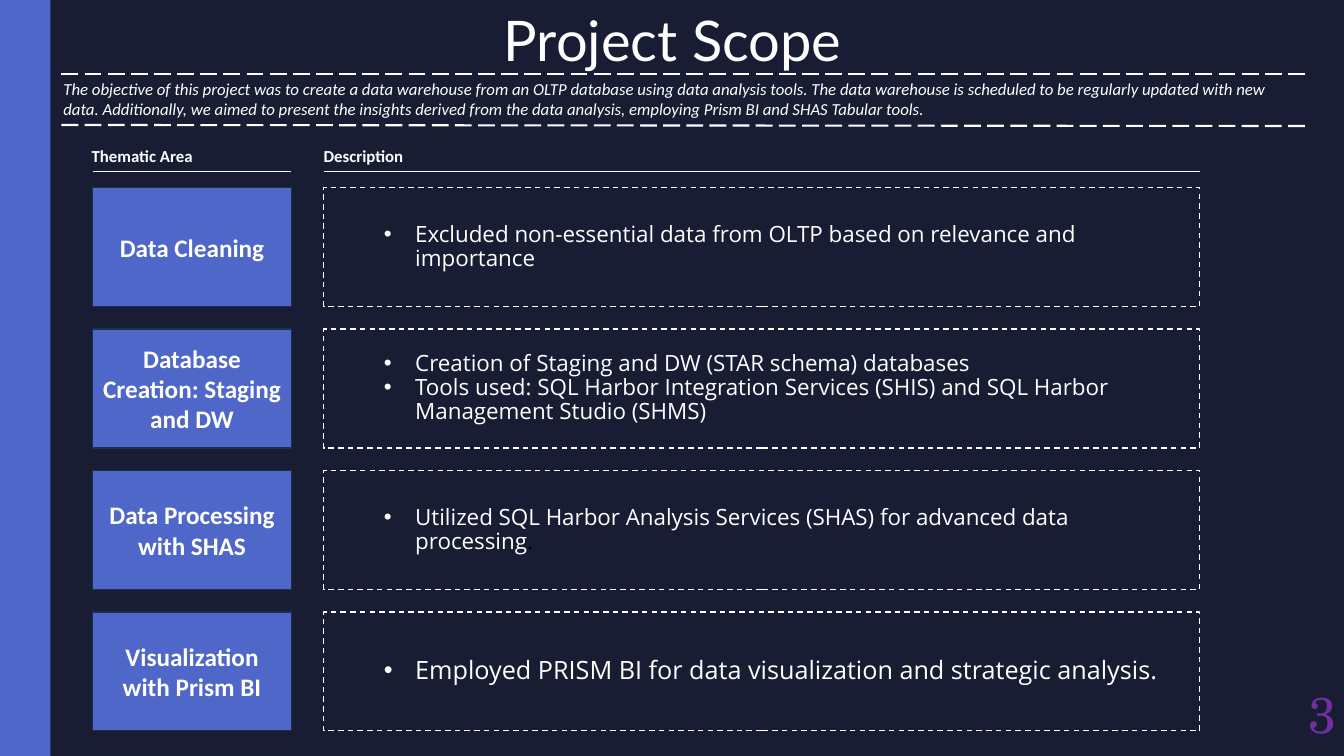
from lxml.etree import SubElement
from pptx import Presentation
from pptx.dml.color import RGBColor
from pptx.enum.dml import MSO_LINE
from pptx.enum.shapes import MSO_CONNECTOR, MSO_SHAPE
from pptx.enum.text import MSO_ANCHOR, PP_ALIGN
from pptx.oxml.ns import qn
from pptx.util import Inches, Pt

HUES = {"back": "191D34", "blue": "4E67C8", "edge": "1C3052",
        "white": "FFFFFF", "black": "000000", "page": "7030A0"}
COLORS = {name: RGBColor.from_string(code) for name, code in HUES.items()}

deck = Presentation()
deck.slide_width, deck.slide_height = Inches(13.33), Inches(7.5)
slide = deck.slides.add_slide(deck.slide_layouts[6])
slide.background.fill.solid()
slide.background.fill.fore_color.rgb = COLORS["back"]


def add_box(left, top, width, height, fill=None, line=None):
    box = slide.shapes.add_shape(MSO_SHAPE.RECTANGLE, Inches(left), Inches(top),
                                 Inches(width), Inches(height))
    box.shadow.inherit = False
    if fill:
        box.fill.solid()
        box.fill.fore_color.rgb = COLORS[fill]
    else:
        box.fill.background()
    if line:
        box.line.color.rgb = COLORS[line]
        box.line.width = Pt(1)
    else:
        box.line.fill.background()
    return box


def set_text(shape, lines, size, font, align=PP_ALIGN.LEFT, color="white",
             bold=False, italic=False):
    frame = shape.text_frame
    frame.word_wrap = True
    frame.text = "\n".join(lines)
    for para in frame.paragraphs:
        para.alignment = align
        for run in para.runs:
            run.font.size, run.font.name = Pt(size), font
            run.font.bold, run.font.italic = bold, italic
            run.font.color.rgb = COLORS[color]
    return frame


# Side band
add_box(0, 0, 0.5, 7.5, "blue")

# Title, objective, column heads and page number
GOAL = ("The objective of this project was to create a data warehouse from an OLTP "
        "database using data analysis tools. The data warehouse is scheduled to be "
        "regularly updated with new data. Additionally, we aimed to present the insights "
        "derived from the data analysis, employing Prism BI and SHAS Tabular tools.")
LEFT, CENTER, RIGHT = PP_ALIGN.LEFT, PP_ALIGN.CENTER, PP_ALIGN.RIGHT
labels = [
    # place, text, size, font, align, color, bold, italic, left inset
    ((1.9, 0.01, 9.54, 0.77), "Project Scope", 40, "Lato", CENTER, "white", False, False, 0.1),
    ((0.53, 0.73, 12.42, 0.5), GOAL, 12, "Calibri", LEFT, "white", False, True, 0.1),
    ((0.91, 1.4, 1.97, 0.3), "Thematic Area", 12, "Calibri", LEFT, "white", True, False, 0),
    ((3.21, 1.4, 1.97, 0.3), "Description", 12, "Calibri", LEFT, "white", True, False, 0),
    ((12.35, 6.75, 1, 0.65), "3", 36, "TeX Gyre Schola", RIGHT, "page", False, False, 0.1),
]
for place, text, size, font, align, color, bold, italic, inset in labels:
    label = slide.shapes.add_textbox(*[Inches(n) for n in place])
    frame = set_text(label, [text], size, font, align, color, bold, italic)
    frame.margin_left = Inches(inset)
frame.vertical_anchor = MSO_ANCHOR.MIDDLE  # page number

# Rules around the objective and under the heads
rules = [(0.61, 0.73, 12.95, 0.73, 1.5, MSO_LINE.LONG_DASH),
         (0.61, 1.24, 12.95, 1.25, 1.5, MSO_LINE.LONG_DASH),
         (0.92, 1.7, 2.89, 1.7, 0.75, None),
         (3.21, 1.7, 11.9, 1.7, 0.75, None)]
for x1, y1, x2, y2, weight, dash in rules:
    rule = slide.shapes.add_connector(MSO_CONNECTOR.STRAIGHT, Inches(x1), Inches(y1),
                                      Inches(x2), Inches(y2))
    rule.line.color.rgb = COLORS["white"]
    rule.line.width = Pt(weight)
    if dash:
        rule.line.dash_style = dash
    SubElement(rule._element.spPr, qn("a:effectLst"))

# Theme rows: blue name, dashed description
rows = [
    ("Data Cleaning", 16,
     ["Excluded non-essential data from OLTP based on relevance and importance"]),
    ("Database Creation: Staging and DW", 16,
     ["Creation of Staging and DW (STAR schema) databases",
      "Tools used: SQL Harbor Integration Services (SHIS) and SQL Harbor "
      "Management Studio (SHMS)"]),
    ("Data Processing with SHAS", 16,
     ["Utilized SQL Harbor Analysis Services (SHAS) for advanced data processing"]),
    ("Visualization with Prism BI", 18,
     ["Employed PRISM BI for data visualization and strategic analysis."]),
]
FIRST, LAST = 1.86, 6.07
step = (LAST - FIRST) / (len(rows) - 1)
for i, (theme, size, points) in enumerate(rows):
    top = FIRST + i * step
    name = add_box(0.92, top, 1.97, 1.18, "blue", "edge")
    set_text(name, [theme], 18, "Calibri", CENTER, bold=True)
    detail = add_box(3.21, top, 8.69, 1.18, line="white")
    detail.line.dash_style = MSO_LINE.DASH
    frame = set_text(detail, points, size, "Open Sans")
    for para in frame.paragraphs:
        para.line_spacing = 0.9
        props = para._p.get_or_add_pPr()
        props.set("marL", str(Inches(0.81)))
        props.set("indent", str(Inches(-0.31)))
        tint = SubElement(props, qn("a:buClr"))
        SubElement(tint, qn("a:srgbClr"), val=HUES["white"])
        SubElement(props, qn("a:buFont"), typeface="Arial")
        SubElement(props, qn("a:buChar"), char="•")
    if theme.startswith("Data Processing"):
        # Dark full stop
        stop = para.add_run()
        stop.text = "."
        stop.font.size, stop.font.name = Pt(size), "Open Sans"
        stop.font.color.rgb = COLORS["black"]

deck.save("out.pptx")
